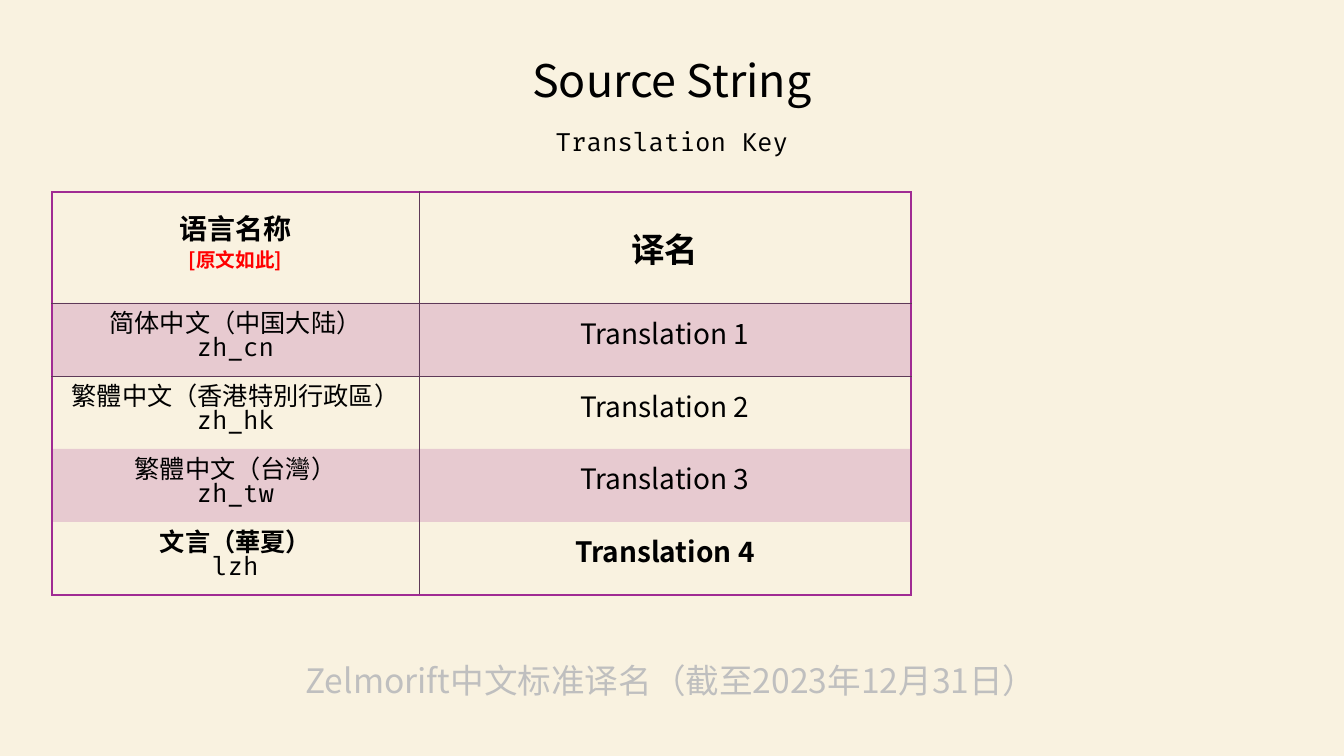
import pptx
import pptx.util
import pptx.dml.color
import pptx.enum.text
import pptx.oxml.ns
import lxml.etree

PX = 914400 / 100.8  # EMU in one px

theme = {
    "page": "F9F2E0", "accent": "A02B93", "inner": "5E3A58", "text": "000000",
    "note": "FF0000", "footer": "BFBFBF",
    "sans": "Noto Sans CJK SC", "sans_jp": "Noto Sans CJK JP", "mono": "Fira Code",
    "title": 32, "heading": 24, "label": 20, "body": 18, "small": 14,
    "line": 18, "band_alpha": 20000, "outer_width": 1, "inner_width": 0.5,
}


def emu(px):
    return pptx.util.Emu(round(px * PX))


def write(frame, lines, spacing=None):
    """Fill a text frame with (text, size, font, colour, bold) lines."""
    frame.text = "\n".join(line[0] for line in lines)
    for para, (_, size, face, color, bold) in zip(frame.paragraphs, lines):
        para.alignment = pptx.enum.text.PP_ALIGN.CENTER
        if spacing:
            para.line_spacing = spacing
        font = para.runs[0].font
        font.size = pptx.util.Pt(theme[size])
        font.name = theme[face]
        font.bold = bold
        font.color.rgb = pptx.dml.color.RGBColor.from_string(theme[color])
        east_asian = lxml.etree.Element(pptx.oxml.ns.qn("a:ea"), typeface=theme[face])
        font._element.find(pptx.oxml.ns.qn("a:latin")).addnext(east_asian)


# Page
deck = pptx.Presentation()
deck.slide_width, deck.slide_height = emu(1344), emu(756)
page = deck.slides.add_slide(deck.slide_layouts[6])
page.background.fill.solid()
page.background.fill.fore_color.rgb = pptx.dml.color.RGBColor.from_string(theme["page"])

# Footer, title and key: text, place, wrap, line spacing, size, font, colour
texts = [
    ("Zelmorift中文标准译名（截至2023年12月31日）", (275, 658, 792, 50), True, 0.95,
     "heading", "sans", "footer"),
    ("Source String", (509, 48, 326, 65), False, None, "title", "sans", "text"),
    ("Translation Key", (544, 121, 256, 40), False, None, "body", "mono", "text"),
]
for text, place, wrap, spacing, size, face, color in texts:
    box = page.shapes.add_textbox(*map(emu, place))
    box.text_frame.word_wrap = wrap
    write(box.text_frame, [(text, size, face, color, False)], spacing)

# Table: two columns, a header and one row per language
languages = [
    ("简体中文（中国大陆）", "zh_cn"),
    ("繁體中文（香港特別行政區）", "zh_hk"),
    ("繁體中文（台灣）", "zh_tw"),
    ("文言（華夏）", "lzh"),
]
last = len(languages)
rows = [(
    [("语言名称", "label", "sans", "text", True),
     ("[原文如此]", "small", "sans", "note", True)],
    [("译名", "heading", "sans", "text", True)],
)]
for number, (language, code) in enumerate(languages, 1):
    bold = number == last
    rows.append((
        [(language, "body", "sans", "text", bold), (code, "body", "mono", "text", False)],
        [(f"Translation {number}", "label", "sans_jp" if bold else "sans", "text", bold)],
    ))

frame = page.shapes.add_table(len(rows), 2, emu(52), emu(192), emu(859), emu(402))
table = frame.table
table.first_row = table.horz_banding = False
style = table._tbl.tblPr.find(pptx.oxml.ns.qn("a:tableStyleId"))
style.text = "{2D5ABB26-0587-4C30-8999-92F81FD0307C}"  # no style, no grid
for column, width in zip(table.columns, (367, 492)):
    column.width = emu(width)

for index, row in enumerate(rows):
    table.rows[index].height = emu(73 if index else 111)
    for col, (cell, lines) in enumerate(zip(table.rows[index].cells, row)):
        fixed = index > 0 or len(lines) > 1
        write(cell.text_frame, lines, pptx.util.Pt(theme["line"]) if fixed else None)
        cell.vertical_anchor = pptx.enum.text.MSO_ANCHOR.MIDDLE
        if index:
            cell.margin_left = cell.margin_right = emu(1)
            cell.margin_top = cell.margin_bottom = 0

        # Tinted bands on odd rows
        if index % 2:
            cell.fill.solid()
            cell.fill.fore_color.rgb = pptx.dml.color.RGBColor.from_string(theme["accent"])
            tint = cell._tc.tcPr.find(".//" + pptx.oxml.ns.qn("a:srgbClr"))
            lxml.etree.SubElement(tint, pptx.oxml.ns.qn("a:alpha"), val=str(theme["band_alpha"]))
        else:
            cell.fill.background()

        # Accent frame outside, thin dark rules between columns and below the header
        sides = [("lnL", col == 0), ("lnR", col == 1)]
        if index < 2:
            sides.append(("lnT", index == 0))
        if index in (0, last):
            sides.append(("lnB", index == last))
        for order, (side, outer) in enumerate(sides):
            kind = "outer" if outer else "inner"
            width = pptx.util.Pt(theme[kind + "_width"])
            rule = lxml.etree.Element(pptx.oxml.ns.qn("a:" + side), w=str(width))
            paint = lxml.etree.SubElement(rule, pptx.oxml.ns.qn("a:solidFill"))
            lxml.etree.SubElement(paint, pptx.oxml.ns.qn("a:srgbClr"),
                                  val=theme["accent" if outer else "inner"])
            cell._tc.tcPr.insert(order, rule)

deck.save("out.pptx")
